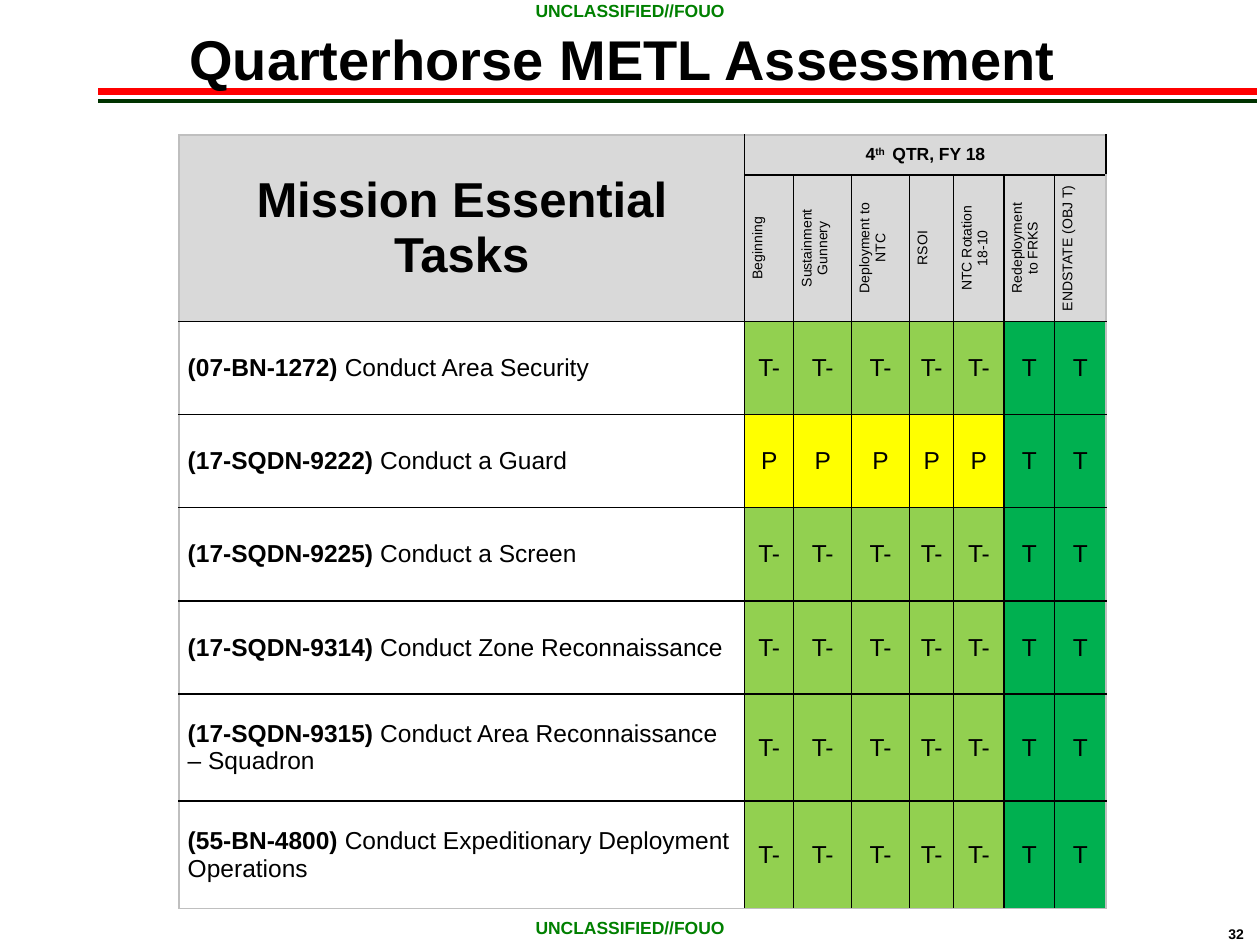
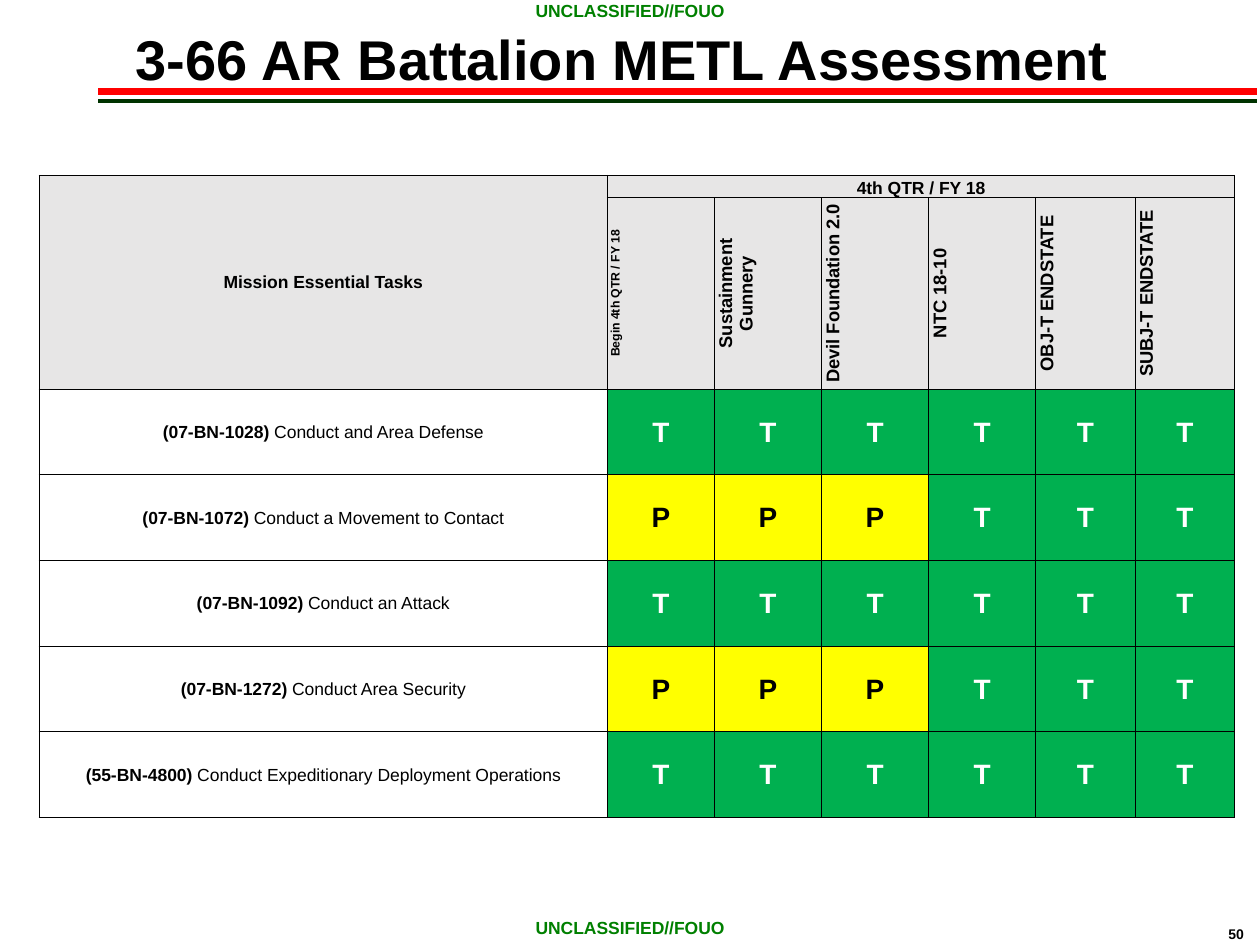
from lxml import etree
from pptx import Presentation
from pptx.dml.color import RGBColor
from pptx.enum import shapes, text
from pptx.oxml import ns
from pptx.util import Inches, Pt

COLORS = {
    "black": "000000", "white": "FFFFFF", "red": "FF0000",
    "forest": "003300", "marking": "008000", "edge": "BFBFBF",
    "trained": "00B050", "trained_minus": "92D050", "practiced": "FFFF00",
    "gray": "D9D9D9", "light_gray": "E7E6E6",
}
STATUS_FILLS = {"T": "trained", "T-": "trained_minus", "P": "practiced"}
MARKING = "UNCLASSIFIED//FOUO"
CENTER, LEFT = text.PP_ALIGN.CENTER, text.PP_ALIGN.LEFT
MIDDLE, BOTTOM = text.MSO_ANCHOR.MIDDLE, text.MSO_ANCHOR.BOTTOM
MARGINS = ("margin_left", "margin_top", "margin_right", "margin_bottom")

SQUADRON = {
    "title": "Quarterhorse METL Assessment",
    "number": 32,
    "at": (1.42, 1.07),
    "cols": [4.49, 0.39, 0.46, 0.46, 0.35, 0.4, 0.4, 0.41],
    "rows": [0.32, 0.88] + [0.74] * 4 + [0.85] * 2,
    "insets": (0.07, 0.04, 0.07, 0.04),
    "border": 1, "edge": "edge",
    "header_fill": "gray", "heading_size": 28,
    "quarter": [("4", {}), ("th ", {"raised": True}), (" QTR, FY 18", {})],
    "quarter_anchor": MIDDLE,
    "events": [("Beginning", 8), ("Sustainment Gunnery", 8),
               ("Deployment to\nNTC", 8), ("RSOI", 8),
               ("NTC Rotation\n18-10", 8), ("Redeployment\nto FRKS", 8),
               ("ENDSTATE (OBJ T)", 8)],
    "event_bold": False,
    "task_size": 14, "task_align": LEFT,
    "status": {"size": 14, "bold": False}, "trained_color": "black",
    "tasks": [
        ("(07-BN-1272) ", "Conduct Area Security", ["T-"] * 5 + ["T"] * 2),
        ("(17-SQDN-9222) ", "Conduct a Guard", ["P"] * 5 + ["T"] * 2),
        ("(17-SQDN-9225) ", "Conduct a Screen", ["T-"] * 5 + ["T"] * 2),
        ("(17-SQDN-9314) ", "Conduct Zone Reconnaissance", ["T-"] * 5 + ["T"] * 2),
        ("(17-SQDN-9315) ", "Conduct Area Reconnaissance – Squadron",
         ["T-"] * 5 + ["T"] * 2),
        ("(55-BN-4800) ", "Conduct Expeditionary Deployment Operations",
         ["T-"] * 5 + ["T"] * 2),
    ],
}

BATTALION = {
    "title": "3-66 AR Battalion METL Assessment",
    "number": 50,
    "at": (0.31, 1.39),
    "cols": [4.51] + [0.85] * 4 + [0.79] * 2,
    "rows": [0.18, 1.52 - 0.01] + [0.68] * 5,
    "insets": (0.01, 0.01, 0.01, 0),
    "border": 0.5, "edge": "black",
    "header_fill": "light_gray", "heading_size": 10,
    "quarter": [("4th QTR / FY 18", {})],
    "quarter_anchor": BOTTOM,
    "events": [("Begin 4th QTR / FY 18", 7), ("Sustainment Gunnery", 10.5),
               ("Devil Foundation 2.0", 10.5), ("NTC 18-10", 10.5),
               ("OBJ-T ENDSTATE", 10.5), ("SUBJ-T ENDSTATE", 10.5)],
    "event_bold": True,
    "task_size": 10, "task_align": CENTER,
    "status": {"size": 16, "bold": True}, "trained_color": "white",
    "tasks": [
        ("(07-BN-1028) ", "Conduct and Area Defense", ["T"] * 6),
        ("(07-BN-1072) ", "Conduct a Movement to Contact", ["P"] * 3 + ["T"] * 3),
        ("(07-BN-1092) ", "Conduct an Attack", ["T"] * 6),
        ("(07-BN-1272) ", "Conduct Area Security", ["P"] * 3 + ["T"] * 3),
        ("(55-BN-4800) ", "Conduct Expeditionary Deployment Operations", ["T"] * 6),
    ],
}
BATTALION["rows"][1] = 1.32


def rgb(name):
    return RGBColor.from_string(COLORS[name])


def apply(obj, values):
    for name, value in values.items():
        setattr(obj, name, value)


def add_run(p, content, size, bold=True, color="black", raised=False):
    r = p.add_run()
    r.text = content
    apply(r.font, {"name": "Arial", "size": Pt(size), "bold": bold})
    r.font.color.rgb = rgb(color)
    if raised:
        r.font._element.set("baseline", "30000")


def add_text(s, at, content, size, color="black", align=CENTER,
             anchor=text.MSO_ANCHOR.TOP, wrap=True):
    tf = s.shapes.add_textbox(*map(Inches, at)).text_frame
    apply(tf, {"word_wrap": wrap, "vertical_anchor": anchor})
    p = tf.paragraphs[0]
    p.alignment = align
    add_run(p, content, size, color=color)


def add_rule(s, y, color, width):
    line = s.shapes.add_connector(shapes.MSO_CONNECTOR.STRAIGHT, Inches(0.78),
                                  Inches(y), Inches(9.98), Inches(y))
    line.line.color.rgb = rgb(color)
    line.line.width = Pt(width)
    etree.SubElement(line._element.spPr, ns.qn("a:effectLst"))


def add_frame(s, title, number):
    add_rule(s, 0.73, "red", 4)
    add_rule(s, 0.8, "forest", 2.25)
    add_text(s, (9.65, 7.3, 0.34, 0.24), str(number), 8, align=LEFT, wrap=False)
    for top in (-0.05, 7.23):
        add_text(s, (3.98, top, 2.04, 0.44), MARKING, 10, "marking")
    add_text(s, (0.37, 0.1, 9.14, 0.73), title, 32, anchor=MIDDLE)


def set_borders(cell, width, colors):
    tcPr = cell._tc.get_or_add_tcPr()
    for i, (side, color) in enumerate(zip("LRTB", colors)):
        ln = etree.Element(ns.qn(f"a:ln{side}"), w=str(Pt(width)))
        fill = etree.SubElement(ln, ns.qn("a:solidFill"))
        etree.SubElement(fill, ns.qn("a:srgbClr"), val=COLORS[color])
        tcPr.insert(i, ln)


def fill_cell(cell, lines, fill, insets, align=CENTER, anchor=MIDDLE, vertical=False):
    apply(cell, dict(zip(MARGINS, map(Inches, insets))))
    cell.vertical_anchor = anchor
    cell.fill.solid()
    cell.fill.fore_color.rgb = rgb(fill)
    if vertical:
        cell._tc.get_or_add_tcPr().set("vert", "vert270")
    tf = cell.text_frame
    for i, runs in enumerate(lines):
        p = tf.add_paragraph() if i else tf.paragraphs[0]
        p.alignment = align
        for content, style in runs:
            add_run(p, content, **style)


def add_header(table, unit):
    fill, insets = unit["header_fill"], unit["insets"]
    heading, quarter = table.cell(0, 0), table.cell(0, 1)
    heading.merge(table.cell(1, 0))
    quarter.merge(table.cell(0, len(unit["cols"]) - 1))
    fill_cell(heading, [[("Mission Essential Tasks", {"size": unit["heading_size"]})]],
              fill, insets)
    runs = [(content, {"size": 10, **style}) for content, style in unit["quarter"]]
    fill_cell(quarter, [runs], fill, insets, anchor=unit["quarter_anchor"])
    for col, (event, size) in enumerate(unit["events"], 1):
        style = {"size": size, "bold": unit["event_bold"]}
        lines = [[(line, style)] for line in event.split("\n")]
        fill_cell(table.cell(1, col), lines, fill, insets, vertical=True)


def add_task(table, row, unit, code, name, ratings):
    size, insets = unit["task_size"], unit["insets"]
    runs = [(code, {"size": size}), (name, {"size": size, "bold": False})]
    fill_cell(table.cell(row, 0), [runs], "white", insets, unit["task_align"])
    for col, rating in enumerate(ratings, 1):
        color = unit["trained_color"] if rating == "T" else "black"
        fill_cell(table.cell(row, col), [[(rating, {**unit["status"], "color": color})]],
                  STATUS_FILLS[rating], insets)


def add_assessment(s, unit):
    cols, rows = unit["cols"], unit["rows"]
    box = (*unit["at"], sum(cols), sum(rows))
    table = s.shapes.add_table(len(rows), len(cols), *map(Inches, box)).table
    apply(table, {"first_row": False, "horz_banding": False})
    for col, width in zip(table.columns, cols):
        col.width = Inches(width)
    for row, height in zip(table.rows, rows):
        row.height = Inches(height)
    add_header(table, unit)
    for row, task in enumerate(unit["tasks"], 2):
        add_task(table, row, unit, *task)
    for i in range(len(rows)):
        for j in range(len(cols)):
            outer = (j == 0, j == len(cols) - 1, i == 0, i == len(rows) - 1)
            set_borders(table.cell(i, j), unit["border"],
                        [unit["edge"] if edge else "black" for edge in outer])


def main():
    prs = Presentation()
    apply(prs, {"slide_width": Inches(10), "slide_height": Inches(7.5)})
    for unit in (SQUADRON, BATTALION):
        s = prs.slides.add_slide(prs.slide_layouts[6])
        add_frame(s, unit["title"], unit["number"])
        add_assessment(s, unit)
    prs.save("out.pptx")


if __name__ == "__main__":
    main()
